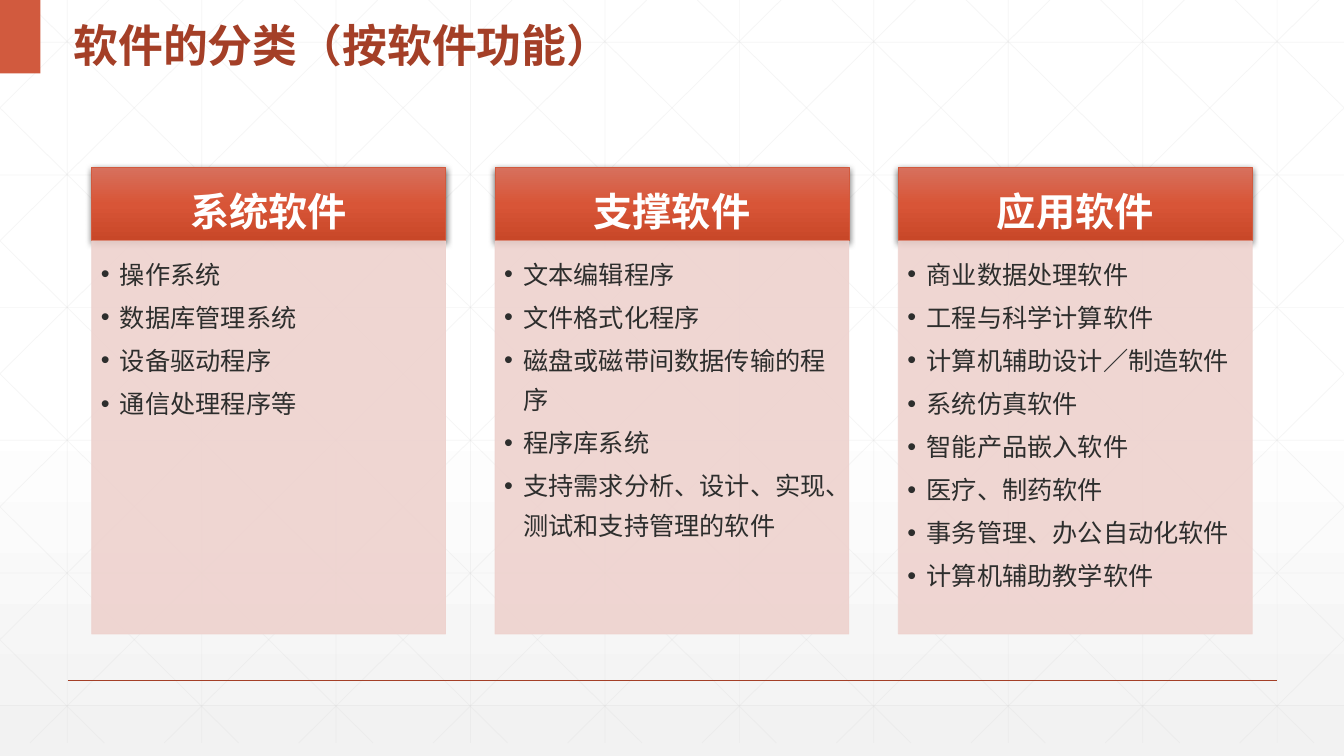
from lxml import etree
from pptx import Presentation
from pptx.dml.color import RGBColor
from pptx.enum import lang, shapes, text
from pptx.oxml.ns import qn
from pptx.util import Inches, Pt

TITLE = "软件的分类（按软件功能）"
CATEGORIES = [
    ("系统软件", ["操作系统", "数据库管理系统", "设备驱动程序", "通信处理程序等"]),
    ("支撑软件", ["文本编辑程序", "文件格式化程序", "磁盘或磁带间数据传输的程序",
              "程序库系统", "支持需求分析、设计、实现、测试和支持管理的软件"]),
    ("应用软件", ["商业数据处理软件", "工程与科学计算软件", "计算机辅助设计／制造软件",
              "系统仿真软件", "智能产品嵌入软件", "医疗、制药软件",
              "事务管理、办公自动化软件", "计算机辅助教学软件"]),
]
COLORS = {
    "grid": "D9D9D9", "rule": "A43F27", "title": "A43F27", "accent": "D15A3E",
    "body": "EED2CE", "ink": "2D2E2D", "white": "FFFFFF",
}
PAGE_GRADIENT = [(0, "FFFFFF"), (53, "FFFFFF"), (100, "F2F2F2")]
HEADER_GRADIENT = [(0, "D7705D"), (50, "D85537"), (100, "C84728")]
FONT = "Arial"

PAGE_W, PAGE_H = 13.33, 7.5
GRID_STEP_X, GRID_STEP_Y, GRID_BOTTOM = 4 / 3, 1.316, 7.37
DIAGONAL_RUN = 7.45
COLUMN_LEFT, COLUMN_STEP, COLUMN_W = 0.91, 4, 3.51
HEADER_TOP, HEADER_H, BODY_H = 1.66, 0.73, 3.9


def child(parent, tag, **attributes):
    return etree.SubElement(parent, qn(tag), attributes)


def set_alpha(element, percent):
    """Make every solid colour inside the element partly transparent."""
    for color in element.iter(qn("a:srgbClr")):
        child(color, "a:alpha", val=str(percent * 1000))


def fill_gradient(fill, element, stops):
    """Give a fill, found inside the element, top-to-bottom colour stops."""
    fill.gradient()
    fill.gradient_angle = 270
    stop_list = next(element.iter(qn("a:gsLst")))
    for old_stop in list(stop_list):
        stop_list.remove(old_stop)
    for position, color in stops:
        stop = child(stop_list, "a:gs", pos=str(position * 1000))
        child(stop, "a:srgbClr", val=color)


def add_line(slide, start, end, color, width, alpha=None):
    line = slide.shapes.add_connector(
        shapes.MSO_CONNECTOR.STRAIGHT, *map(Inches, (*start, *end)))
    line.line.color.rgb = RGBColor.from_string(COLORS[color])
    line.line.width = Pt(width)
    properties = line._element.spPr
    if alpha:
        set_alpha(properties, alpha)
    child(properties, "a:effectLst")


def add_grid(slide):
    def grid_line(start, end):
        add_line(slide, start, end, "grid", 0.5, alpha=25)

    for i in range(10):
        x = GRID_STEP_X * (i + 0.5)
        grid_line((x, 0), (x, GRID_BOTTOM))
    for i in range(6):
        y = 0.42 + GRID_STEP_Y * i
        grid_line((0, y), (PAGE_W, y))
    slope = GRID_BOTTOM / DIAGONAL_RUN
    for i in range(-5, 10):
        origin = 0.25 + GRID_STEP_X * i
        left, right = max(origin, 0), min(origin + DIAGONAL_RUN, PAGE_W)
        top, bottom = (left - origin) * slope, (right - origin) * slope
        grid_line((left, top), (right, bottom))
        grid_line((PAGE_W - left, top), (PAGE_W - right, bottom))


def add_block(slide, left, top, width, height, color):
    block = slide.shapes.add_shape(
        shapes.MSO_SHAPE.RECTANGLE, *map(Inches, (left, top, width, height)))
    block.shadow.inherit = False
    block.fill.solid()
    block.fill.fore_color.rgb = RGBColor.from_string(COLORS[color])
    block.line.color.rgb = RGBColor.from_string(COLORS[color])
    block.line.width = Pt(0.5)
    return block


def write(shape, lines, size, color, bold=False, align="LEFT", anchor="MIDDLE",
          insets=(0.1, 0.05, 0.1, 0.05), bullets=False, space_after=0):
    frame = shape.text_frame
    frame.word_wrap = True
    frame.vertical_anchor = text.MSO_ANCHOR[anchor]
    (frame.margin_left, frame.margin_top,
     frame.margin_right, frame.margin_bottom) = map(Inches, insets)
    for i, line in enumerate(lines):
        paragraph = frame.add_paragraph() if i else frame.paragraphs[0]
        paragraph.alignment = text.PP_ALIGN[align]
        paragraph.line_spacing = 1.3
        paragraph.space_after = Pt(space_after)
        if bullets:
            properties = paragraph._p.get_or_add_pPr()
            properties.set("marL", str(Inches(0.19)))
            properties.set("indent", str(-Inches(0.19)))
            child(properties, "a:buFont", typeface=FONT)
            child(properties, "a:buChar", char="•")
        run = paragraph.add_run()
        run.text = line
        font = run.font
        font.name, font.size, font.bold = FONT, Pt(size), bold
        font.color.rgb = RGBColor.from_string(COLORS[color])
        font.language_id = lang.MSO_LANGUAGE_ID.SIMPLIFIED_CHINESE
        child(run._r.get_or_add_rPr(), "a:ea", typeface=FONT)


def add_category(slide, left, name, members):
    header = add_block(slide, left, HEADER_TOP, COLUMN_W, HEADER_H, "accent")
    fill_gradient(header.fill, header._element, HEADER_GRADIENT)
    effects = header._element.spPr.find(qn("a:effectLst"))
    shadow = child(effects, "a:outerShdw", blurRad=str(Pt(4.5)), dist=str(Pt(1.5)),
                   dir="5400000", algn="ctr", rotWithShape="0")
    child(shadow, "a:srgbClr", val="000000")
    set_alpha(shadow, 63)
    write(header, [name], 28, "white", bold=True, align="CENTER",
          insets=(0.19, 0.11, 0.19, 0.11))

    body = add_block(slide, left, HEADER_TOP + HEADER_H, COLUMN_W, BODY_H, "body")
    set_alpha(body._element.spPr, 90)
    write(body, members, 18, "ink", anchor="TOP", bullets=True,
          insets=(0.09, 0.09, 0.12, 0.14), space_after=2.7)


def main():
    deck = Presentation()
    deck.slide_width, deck.slide_height = Inches(PAGE_W), Inches(PAGE_H)
    slide = deck.slides.add_slide(deck.slide_layouts[6])
    fill_gradient(slide.background.fill, slide._element, PAGE_GRADIENT)
    add_grid(slide)
    add_line(slide, (0.67, 6.75), (12.67, 6.75), "rule", 1)

    tab = add_block(slide, 0, 0, 0.4, 0.73, "accent")
    tab.line.fill.background()
    title = slide.shapes.add_textbox(*map(Inches, (0.63, 0, 5.69, 0.73)))
    write(title, [TITLE], 32, "title", bold=True)

    for i, (name, members) in enumerate(CATEGORIES):
        add_category(slide, COLUMN_LEFT + COLUMN_STEP * i, name, members)
    deck.save("out.pptx")


if __name__ == "__main__":
    main()
